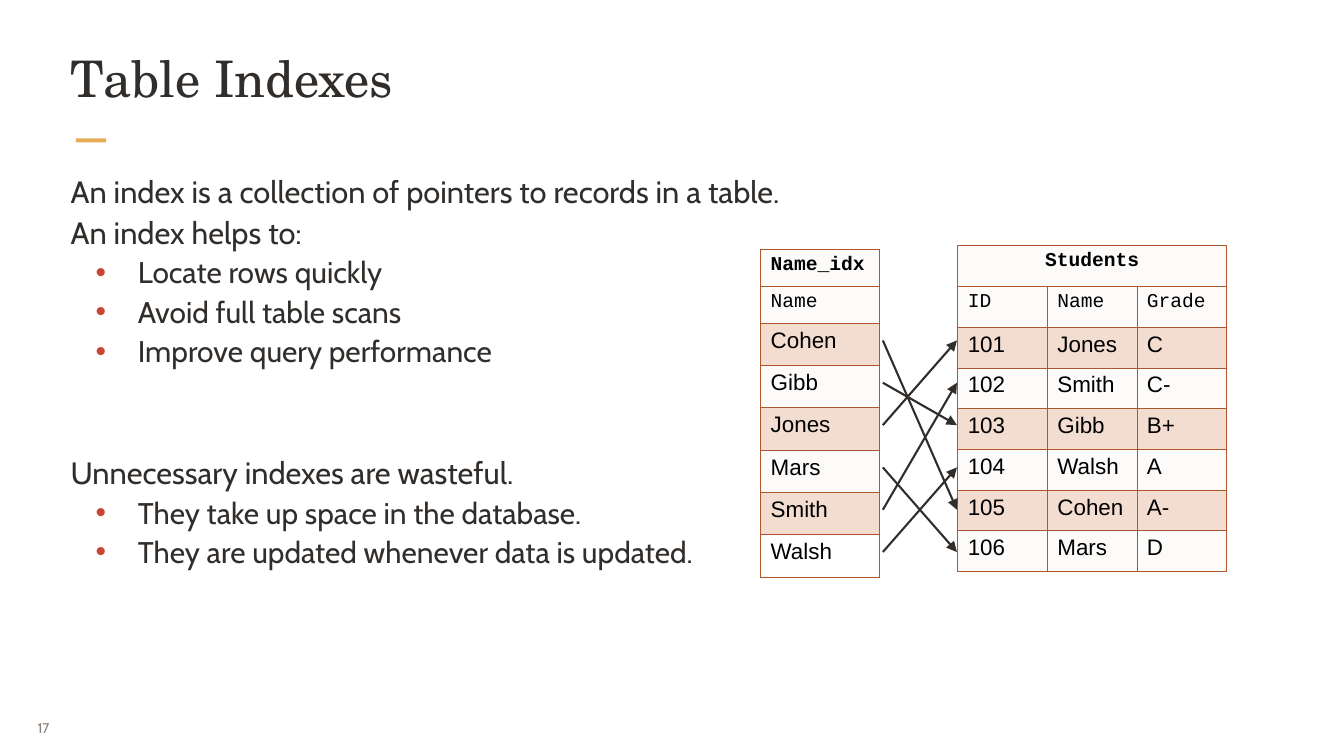
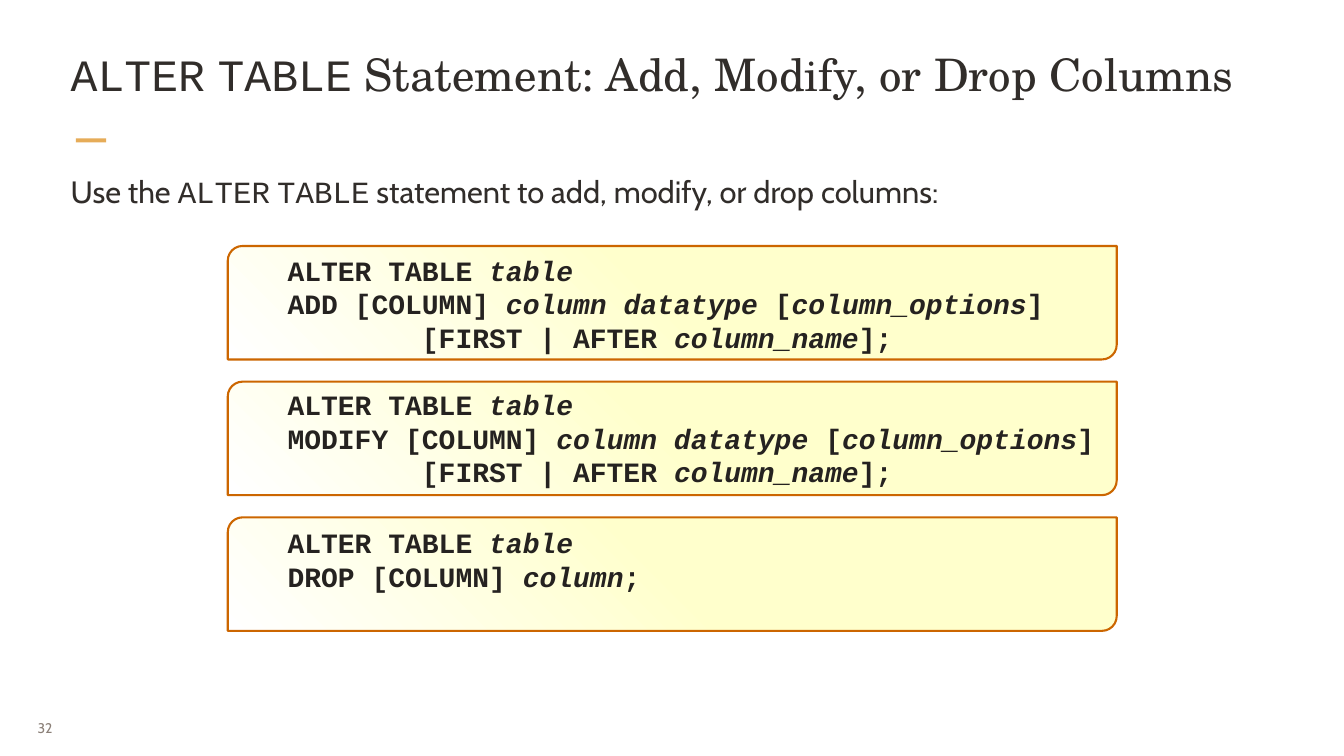
"""Build two database slides: table indexes and the ALTER TABLE statement."""
from copy import deepcopy
from dataclasses import dataclass, replace
from typing import Optional

from lxml.etree import SubElement
from pptx import Presentation
from pptx.dml.color import RGBColor
from pptx.enum.shapes import MSO_CONNECTOR, MSO_SHAPE
from pptx.enum.text import MSO_ANCHOR, MSO_AUTO_SIZE, PP_ALIGN
from pptx.oxml.ns import qn
from pptx.util import Cm, Pt


@dataclass(frozen=True)
class TextStyle:
    """Look of one run of text."""
    font: str
    size: float
    color: str
    bold: bool = False
    italic: bool = False


@dataclass(frozen=True)
class Theme:
    """Colours and text styles shared by the slides."""
    accent: str = "E6AC58"
    bullet: str = "C74634"
    ink: str = "312D2A"
    table_border: str = "AE562C"
    row_light: str = "FCFBFA"
    row_dark: str = "F3DCD0"
    code_border: str = "CC6600"
    code_gradient: tuple = ((0, "FFFFCC"), (0.5, "FFFFCC"), (1, "FFFFFF"))
    mono: str = "Courier New"
    title: TextStyle = TextStyle("TeX Gyre Schola", 54, "312D2A")
    long_title: TextStyle = TextStyle("TeX Gyre Schola", 48, "312D2A")
    body: TextStyle = TextStyle("Cabin", 33, "312D2A")
    item: TextStyle = TextStyle("Cabin", 32, "312D2A")
    page_number: TextStyle = TextStyle("Cabin", 15, "8B8078")
    table_name: TextStyle = TextStyle("Courier New", 21, "000000", bold=True)
    column_name: TextStyle = TextStyle("Courier New", 21, "000000")
    record: TextStyle = TextStyle("Arial", 24, "000000")
    code: TextStyle = TextStyle("Courier New", 30, "252220", bold=True)


THEME = Theme()


@dataclass(frozen=True)
class Box:
    """Place and size in centimetres."""
    left: float
    top: float
    width: float
    height: float

    def lengths(self) -> tuple:
        """Return the four lengths for python-pptx."""
        return Cm(self.left), Cm(self.top), Cm(self.width), Cm(self.height)


@dataclass(frozen=True)
class Line:
    """One line of the body text."""
    text: str
    is_item: bool = False
    space_before: float = 0


@dataclass(frozen=True)
class DataTable:
    """A named table with its column names and records."""
    name: str
    columns: tuple
    records: tuple
    box: Box
    header_height: float
    record_height: float
    name_alignment: PP_ALIGN = PP_ALIGN.LEFT
    plain_last: bool = False


@dataclass(frozen=True)
class Statement:
    """An SQL statement with italic parts between asterisks."""
    lines: tuple
    text_offset: float


TITLE_BOX = Box(2.59, 1.7, 45.62, 3.25)
LONG_TITLE_BOX = replace(TITLE_BOX, width=48.2)
BODY_BOX = Box(2.59, 6.32, 45.62, 16.87)
INTRO_BOX = replace(BODY_BOX, height=1.65)
ACCENT_BOX = Box(2.87, 5.23, 1.14, 0.15)
NUMBER_BOX = Box(1.09, 26.77, 1.65, 1.47)
STATEMENT_BOX = Box(8.61, 9.3, 33.6, 4.29)
STATEMENT_STEP = 5.13
CODE_BOX = Box(10.49, 9.3, 31.6, 3.91)

INDEX_LINES = (
    Line("An index is a collection of pointers to records in a table."),
    Line("An index helps to:"),
    Line("Locate rows quickly", True),
    Line("Avoid full table scans", True),
    Line("Improve query performance", True),
    Line("Unnecessary indexes are wasteful.", space_before=87),
    Line("They take up space in the database.", True),
    Line("They are updated whenever data is updated.", True),
)
STUDENTS = DataTable(
    "Students", ("ID", "Name", "Grade"),
    (("101", "Jones", "C"), ("102", "Smith", "C-"), ("103", "Gibb", "B+"),
     ("104", "Walsh", "A"), ("105", "Cohen", "A-"), ("106", "Mars", "D")),
    Box(36.2, 9.29, 10.16, 12.32), 1.54, 1.54, PP_ALIGN.CENTER)
NAME_INDEX = DataTable(
    "Name_idx", ("Name",),
    tuple((name,) for name in sorted(record[1] for record in STUDENTS.records)),
    Box(28.75, 9.42, 4.5, 12.4), 1.4, 1.6, plain_last=True)
POINTER_LEFT, POINTER_RIGHT = 33.37, 36.17
POINTER_TOP, POINTER_STEP = 12.87, 1.6

POSITION_LINE = "        [FIRST | AFTER *column_name*];"
STATEMENTS = (
    Statement(("ALTER TABLE *table*",
               "ADD [COLUMN] *column datatype *[*column_options*]",
               POSITION_LINE), 0.23),
    Statement(("ALTER TABLE *table*",
               "MODIFY [COLUMN] *column datatype *[*column_options*]",
               POSITION_LINE), 0.18),
    Statement(("ALTER TABLE *table*", "DROP [COLUMN] *column*;"), -0.38),
)


def rgb(color: str) -> RGBColor:
    """Turn a hex string into a colour."""
    return RGBColor.from_string(color)


def style_run(run, style: TextStyle) -> None:
    """Apply a text style to a run."""
    run.font.name, run.font.size = style.font, Pt(style.size)
    run.font.bold, run.font.italic = style.bold, style.italic
    run.font.color.rgb = rgb(style.color)


def write(paragraph, text: str, style: TextStyle,
          marked: Optional[TextStyle] = None) -> None:
    """Write text, giving the parts between asterisks the marked style."""
    for position, part in enumerate(text.split("*")):
        if part:
            run = paragraph.add_run()
            run.text = part
            style_run(run, marked if marked and position % 2 else style)


def set_margins(frame, across: float, down: float) -> None:
    """Set the inner margins of a text frame or table cell."""
    frame.margin_left = frame.margin_right = Cm(across)
    frame.margin_top = frame.margin_bottom = Cm(down)


def place(placeholder, box: Box):
    """Move a placeholder and return its prepared text frame."""
    placeholder.left, placeholder.top, placeholder.width, placeholder.height = box.lengths()
    frame = placeholder.text_frame
    frame.word_wrap = True
    frame.vertical_anchor = MSO_ANCHOR.TOP
    set_margins(frame, 0.08, 0.08)
    return frame


def set_bullet(paragraph, is_item: bool) -> None:
    """Indent an item behind a bullet, or clear the bullet."""
    properties = paragraph._p.get_or_add_pPr()
    properties.set("marL", str(Cm(2.54) if is_item else 0))
    properties.set("indent", str(Cm(-1.6) if is_item else 0))
    if is_item:
        color = SubElement(properties, qn("a:buClr"))
        SubElement(color, qn("a:srgbClr"), val=THEME.bullet)
        SubElement(properties, qn("a:buFont"), typeface="Arial")
        SubElement(properties, qn("a:buChar"), char="•")
    else:
        SubElement(properties, qn("a:buNone"))


def add_text_box(slide, box: Box, across: float, down: float):
    """Add an unwrapped, vertically centred text box and return its frame."""
    frame = slide.shapes.add_textbox(*box.lengths()).text_frame
    frame.word_wrap = False
    frame.vertical_anchor = MSO_ANCHOR.MIDDLE
    set_margins(frame, across, down)
    return frame


def add_base_slide(deck, title: str, title_style: TextStyle, title_box: Box,
                   lines: tuple, body_box: Box, number: int):
    """Add a slide with title, accent, body text and page number."""
    slide = deck.slides.add_slide(deck.slide_layouts[1])
    heading = place(slide.shapes.title, title_box)
    heading.auto_size = MSO_AUTO_SIZE.NONE
    heading.paragraphs[0].alignment = PP_ALIGN.LEFT
    write(heading.paragraphs[0], title, title_style, replace(title_style, font=THEME.mono))

    body = place(slide.placeholders[1], body_box)
    body.auto_size = MSO_AUTO_SIZE.SHAPE_TO_FIT_TEXT
    for position, line in enumerate(lines):
        paragraph = body.add_paragraph() if position else body.paragraphs[0]
        paragraph.level = int(line.is_item)
        set_bullet(paragraph, line.is_item)
        paragraph.line_spacing = 1.1
        paragraph.space_before = Pt(line.space_before)
        style = THEME.item if line.is_item else THEME.body
        write(paragraph, line.text, style, replace(style, font=THEME.mono))

    accent = slide.shapes.add_shape(MSO_SHAPE.RECTANGLE, *ACCENT_BOX.lengths())
    accent.shadow.inherit = False
    accent.fill.solid()
    accent.fill.fore_color.rgb = rgb(THEME.accent)
    accent.line.fill.background()
    page = add_text_box(slide, NUMBER_BOX, 0.33, 0.18).paragraphs[0]
    page.alignment = PP_ALIGN.JUSTIFY
    write(page, str(number), THEME.page_number)
    return slide


def format_cell(cell, text: str, style: TextStyle, fill: Optional[str]) -> None:
    """Write a cell and give it borders and fill."""
    set_margins(cell, 0.38, 0.18)
    write(cell.text_frame.paragraphs[0], text, style)
    properties = cell._tc.get_or_add_tcPr()
    for side in ("a:lnL", "a:lnR", "a:lnT", "a:lnB"):
        border = SubElement(properties, qn(side), w=str(Pt(1)))
        solid = SubElement(border, qn("a:solidFill"))
        SubElement(solid, qn("a:srgbClr"), val=THEME.table_border)
    if fill:
        cell.fill.solid()
        cell.fill.fore_color.rgb = rgb(fill)
    else:
        cell.fill.background()


def add_data_table(slide, data: DataTable) -> None:
    """Draw a table with a name row, a column row and shaded records."""
    width = len(data.columns)
    name_row = (data.name,) + ("",) * (width - 1)
    rows = (name_row, data.columns) + data.records
    table = slide.shapes.add_table(len(rows), width, *data.box.lengths()).table
    table.first_row = table.horz_banding = False
    for column in table.columns:
        column.width = Cm(data.box.width / width)
    for number, values in enumerate(rows):
        is_record = number > 1
        table.rows[number].height = Cm(data.record_height if is_record else data.header_height)
        style = THEME.record if is_record else (THEME.table_name, THEME.column_name)[number]
        fill = THEME.row_dark if is_record and number % 2 == 0 else THEME.row_light
        if data.plain_last and number == len(rows) - 1:
            fill = None
        for position, value in enumerate(values):
            format_cell(table.cell(number, position), value, style, fill)
    if width > 1:
        table.cell(0, 0).merge(table.cell(0, width - 1))
    table.cell(0, 0).text_frame.paragraphs[0].alignment = data.name_alignment


def add_pointer(slide, index_row: int, student_row: int) -> None:
    """Draw an arrow from an index entry to its record."""
    start, end = (Cm(POINTER_TOP + POINTER_STEP * row) for row in (index_row, student_row))
    pointer = slide.shapes.add_connector(
        MSO_CONNECTOR.STRAIGHT, Cm(POINTER_LEFT), start, Cm(POINTER_RIGHT), end)
    pointer.line.color.rgb = rgb(THEME.ink)
    pointer.line.width = Pt(2.25)
    SubElement(pointer.line._get_or_add_ln(), qn("a:tailEnd"),
               type="triangle", w="lg", len="lg")
    SubElement(pointer._element.spPr, qn("a:effectLst"))


def add_statement(slide, statement: Statement, position: int) -> None:
    """Draw a statement on its shaded panel."""
    top = STATEMENT_BOX.top + STATEMENT_STEP * position
    panel = slide.shapes.add_shape(
        MSO_SHAPE.ROUND_2_DIAG_RECTANGLE, *replace(STATEMENT_BOX, top=top).lengths())
    panel.shadow.inherit = False
    panel.adjustments[0], panel.adjustments[1] = 0.13, 0
    panel.line.color.rgb = rgb(THEME.code_border)
    panel.line.width = Pt(2.25)
    panel.fill.gradient()
    panel.fill.gradient_angle = 225
    stop_list = panel._element.spPr.find(".//" + qn("a:gsLst"))
    stop_list.insert(1, deepcopy(stop_list[0]))
    for stop, (offset, color) in zip(panel.fill.gradient_stops, THEME.code_gradient):
        stop.position, stop.color.rgb = offset, rgb(color)

    code = add_text_box(slide, replace(CODE_BOX, top=top + statement.text_offset), 0.38, 0.2)
    for number, line in enumerate(statement.lines):
        paragraph = code.add_paragraph() if number else code.paragraphs[0]
        write(paragraph, line, THEME.code, replace(THEME.code, italic=True))


def main() -> None:
    """Build and save the deck."""
    deck = Presentation()
    deck.slide_width, deck.slide_height = Cm(50.8), Cm(28.58)

    indexes = add_base_slide(deck, "Table Indexes", THEME.title, TITLE_BOX,
                             INDEX_LINES, BODY_BOX, 17)
    add_data_table(indexes, NAME_INDEX)
    add_data_table(indexes, STUDENTS)
    student_names = [record[1] for record in STUDENTS.records]
    for row, (name,) in enumerate(NAME_INDEX.records):
        add_pointer(indexes, row, student_names.index(name))

    intro = Line("Use the *ALTER* *TABLE* statement to add, modify, or drop columns:")
    alter = add_base_slide(deck, "*ALTER* *TABLE* Statement: Add, Modify, or Drop Columns",
                           THEME.long_title, LONG_TITLE_BOX, (intro,), INTRO_BOX, 32)
    for position, statement in enumerate(STATEMENTS):
        add_statement(alter, statement, position)
    deck.save("out.pptx")


if __name__ == "__main__":
    main()
